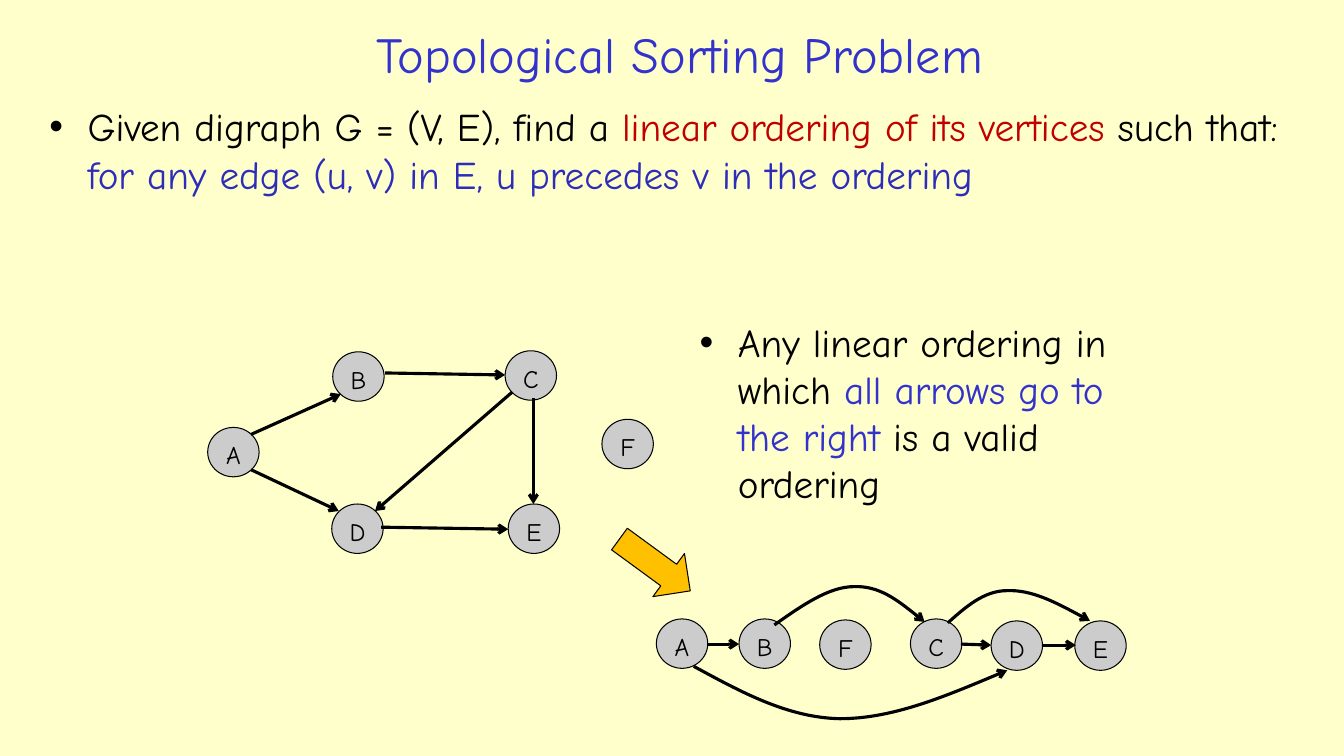
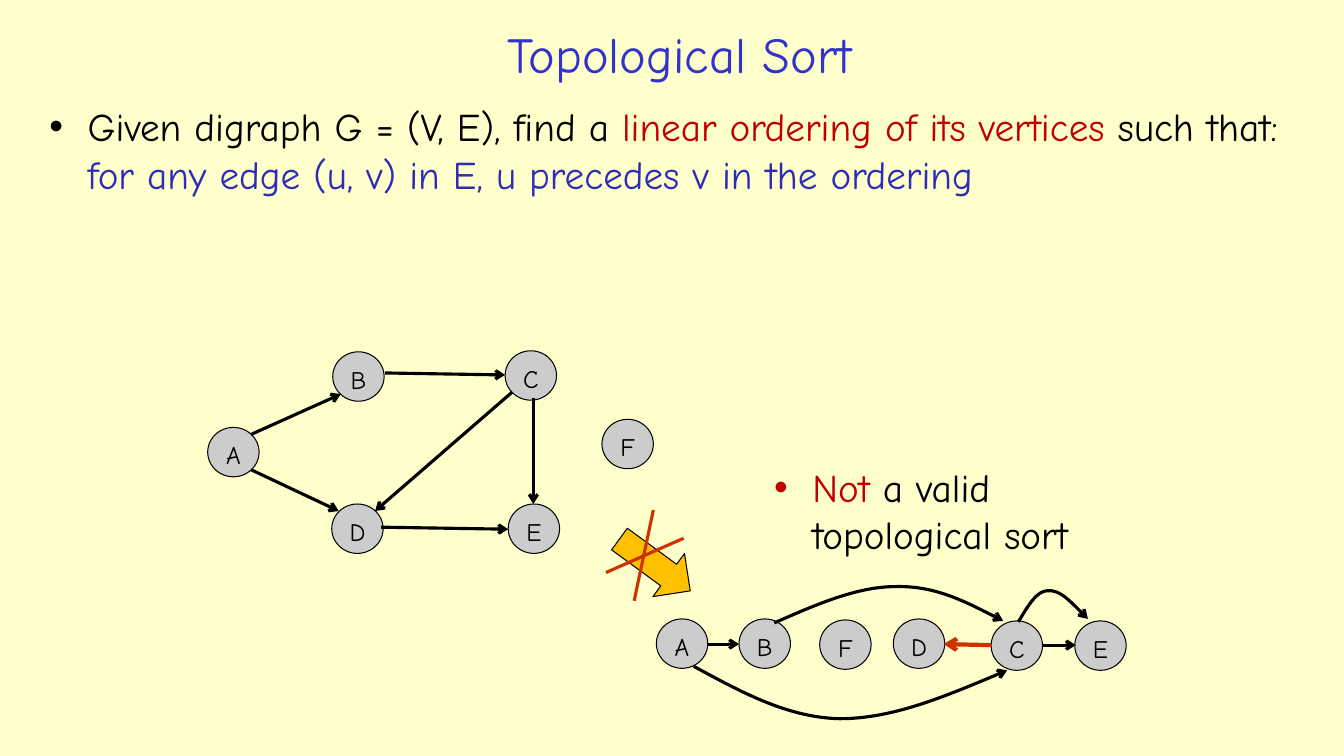
"""Builds two slides on topological sorting: a valid ordering and an invalid one."""
from lxml.etree import SubElement
from pptx import Presentation
from pptx.dml.color import RGBColor
from pptx.enum.shapes import MSO_CONNECTOR, MSO_SHAPE
from pptx.enum.text import MSO_ANCHOR, PP_ALIGN
from pptx.oxml.ns import qn
from pptx.util import Pt

PX = 9144
FONT = "Comic Neue"
COLORS = {
    "paper": "FFFFCC",
    "ink": "000000",
    "title": "3333CC",
    "rule": "2D2DB9",
    "red": "C00000",
    "wrong": "CC3300",
    "node": "CCCCCC",
    "arrow": "FFC000",
}
RGB = {name: RGBColor.from_string(value) for name, value in COLORS.items()}
NODE_WIDTH, NODE_HEIGHT = 51, 49
INDENT = 38

GRAPH_NODES = [("A", 206, 424), ("B", 330, 349), ("C", 501, 348),
               ("D", 329, 500), ("F", 597, 416), ("E", 504, 500)]
GRAPH_EDGES = [(249, 431, 338, 391), (382, 370, 501, 372), (529, 395, 529, 500),
               (249, 466, 336, 507), (378, 523, 504, 525), (508, 389, 372, 507)]
ROW_EDGES = [(702, 639, 733, 639), (1033, 640, 1067, 640)]
CROSS = [(648, 506, 629, 596), (601, 568, 678, 534)]
LONG_CURVE = [(688, 661), (734, 686), (781, 712), (833, 713),
              (885, 713), (942, 689), (999, 665)]
PROBLEM = [("Given digraph G = (V, E), find a ", "ink"),
           ("linear ordering of its vertices ", "red"),
           ("such that: ", "ink"),
           ("for any edge (u, v) in E, u precedes v in the ordering", "rule")]

SLIDES = [
    {
        "title": "Topological Sorting Problem",
        "remark_box": (684, 311, 465, 203),
        "remark": [("Any linear ordering in which ", "ink"),
                   ("all arrows go to the right", "title"),
                   (" is a valid ordering", "ink")],
        "row": [("A", 651, 614), ("B", 733, 614), ("F", 813, 615),
                ("C", 903, 614), ("D", 983, 616), ("E", 1066, 616)],
        "edges": [(953, 639, 983, 640)],
        "wrong_edges": [],
        "cross": [],
        "curves": [
            [(768, 620), (795, 601), (822, 582), (847, 582),
             (872, 581), (895, 599), (917, 617)],
            [(940, 618), (958, 602), (976, 586), (999, 586),
             (1023, 585), (1052, 600), (1081, 616)],
        ],
    },
    {
        "title": "Topological Sort",
        "remark_box": (758, 455, 356, 96),
        "remark": [("Not", "red"), (" a valid topological sort", "ink")],
        "row": [("A", 651, 614), ("B", 733, 614), ("F", 813, 615),
                ("D", 886, 614), ("C", 983, 616), ("E", 1066, 616)],
        "edges": [],
        "wrong_edges": [(983, 640, 936, 639)],
        "cross": CROSS,
        "curves": [
            [(768, 618), (809, 600), (850, 582), (888, 582),
             (926, 581), (960, 598), (995, 616)],
            [(1010, 617), (1019, 602), (1028, 586), (1039, 586),
             (1051, 585), (1065, 600), (1079, 614)],
        ],
    },
]


def write(shape, spans, size, bullet=False):
    """Fill a shape with one paragraph of coloured spans."""
    para = shape.text_frame.paragraphs[0]
    para.alignment = PP_ALIGN.LEFT if bullet else PP_ALIGN.CENTER
    if bullet:
        settings = para._p.get_or_add_pPr()
        settings.set("marL", str(INDENT * PX))
        settings.set("indent", str(-INDENT * PX))
        SubElement(settings, qn("a:buFont"), typeface="Arial")
        SubElement(settings, qn("a:buChar"), char="•")
    para.font.name = FONT
    para.font.size = Pt(size)
    for text, color in spans:
        span = para.add_run()
        span.text = text
        span.font.color.rgb = RGB[color]


def stroke(shape, color="ink", width=2.25, arrow=True):
    """Give a line its colour, width and arrowhead, and no shadow."""
    shape.line.color.rgb = RGB[color]
    shape.line.width = Pt(width)
    if arrow:
        SubElement(shape.line._get_or_add_ln(), qn("a:tailEnd"), type="arrow")
    SubElement(shape.element.spPr, qn("a:effectLst"))


deck = Presentation()
deck.slide_width, deck.slide_height = 1333 * PX, 750 * PX
paper = deck.slide_master.background.fill
paper.solid()
paper.fore_color.rgb = RGB["paper"]

for content in SLIDES:
    page = deck.slides.add_slide(deck.slide_layouts[6])
    shapes = page.shapes

    title = shapes.add_textbox(197 * PX, 15 * PX, 954 * PX, 76 * PX)
    title.text_frame.word_wrap = True
    title.text_frame.vertical_anchor = MSO_ANCHOR.MIDDLE
    write(title, [(content["title"], "title")], 36)

    for place, spans in [((39, 97, 1248, 119), PROBLEM),
                         (content["remark_box"], content["remark"])]:
        box = shapes.add_textbox(*(length * PX for length in place))
        box.text_frame.word_wrap = True
        write(box, spans, 28, bullet=True)

    for letter, left, top in GRAPH_NODES + content["row"]:
        node = shapes.add_shape(MSO_SHAPE.OVAL, left * PX, top * PX,
                                NODE_WIDTH * PX, NODE_HEIGHT * PX)
        node.fill.solid()
        node.fill.fore_color.rgb = RGB["node"]
        stroke(node, width=0.75, arrow=False)
        node.text_frame.word_wrap = False
        node.text_frame.vertical_anchor = MSO_ANCHOR.TOP
        write(node, [(letter, "ink")], 18)

    big_arrow = shapes.add_shape(MSO_SHAPE.RIGHT_ARROW, 606 * PX, 534 * PX, 87 * PX, 53 * PX)
    big_arrow.rotation = 36.2
    big_arrow.fill.solid()
    big_arrow.fill.fore_color.rgb = RGB["arrow"]
    stroke(big_arrow, width=0.75, arrow=False)

    for lines, color, width, arrow in [
        (GRAPH_EDGES + ROW_EDGES + content["edges"], "ink", 2.25, True),
        (content["wrong_edges"], "wrong", 3, True),
        (content["cross"], "wrong", 2.25, False),
    ]:
        for ends in lines:
            line = shapes.add_connector(MSO_CONNECTOR.STRAIGHT, *(end * PX for end in ends))
            stroke(line, color, width, arrow)

    for points in [LONG_CURVE] + content["curves"]:
        builder = shapes.build_freeform(*points[0], scale=PX)
        builder.add_line_segments(points[1:], close=False)
        curve = builder.convert_to_shape()
        curve.fill.background()
        stroke(curve)
        outline = next(curve.element.iter(qn("a:path")))
        segments = outline.findall(qn("a:lnTo"))
        for start in range(0, len(segments), 3):
            bend = SubElement(outline, qn("a:cubicBezTo"))
            for segment in segments[start:start + 3]:
                bend.append(segment[0])
                outline.remove(segment)

deck.save("out.pptx")
